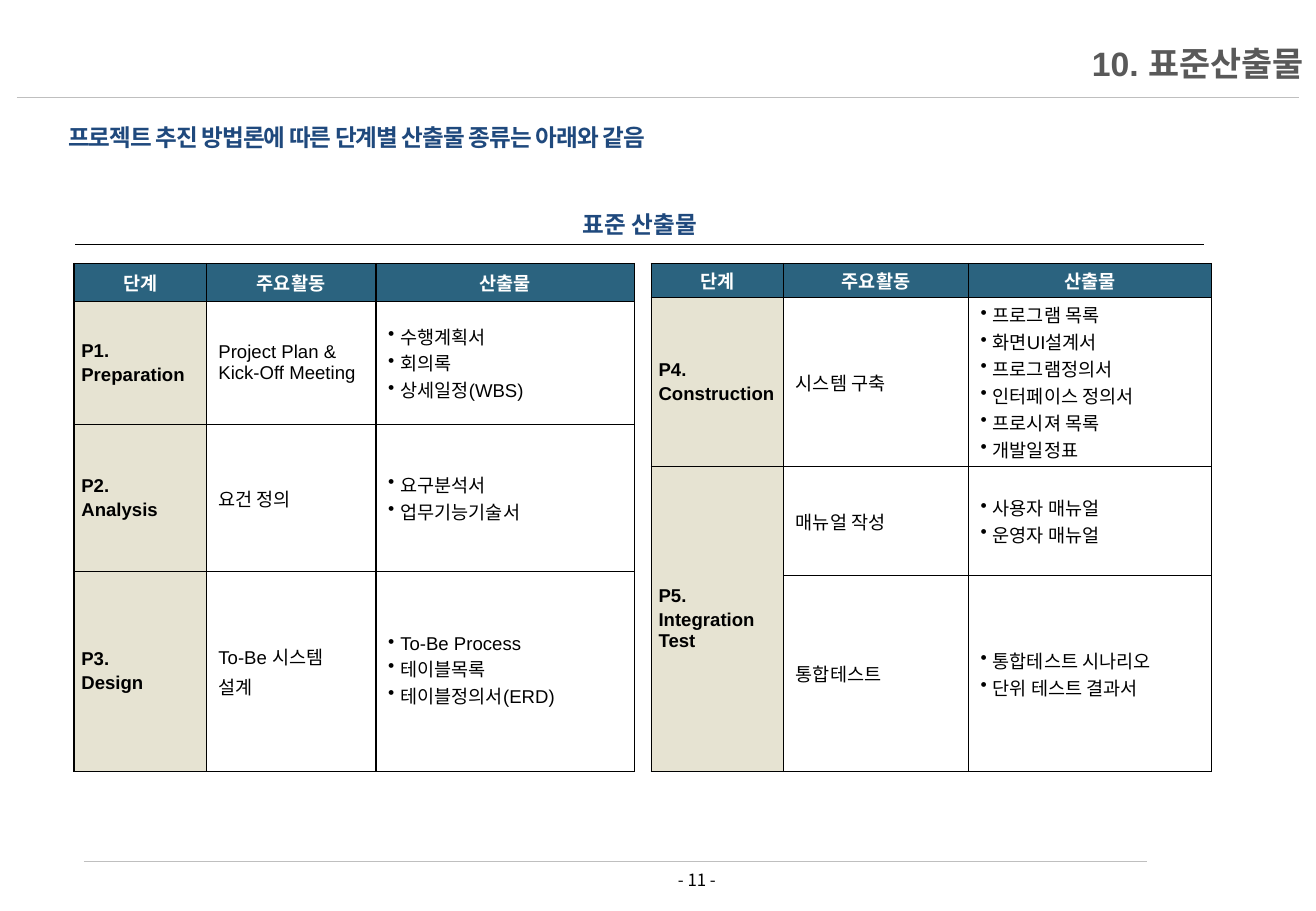
from collections import namedtuple
from dataclasses import dataclass

import pptx
import pptx.dml.color
import pptx.enum.dml
import pptx.enum.shapes
import pptx.enum.text
import pptx.oxml.ns
import pptx.util
from lxml import etree

Inches, Pt = pptx.util.Inches, pptx.util.Pt
Align, Anchor = pptx.enum.text.PP_ALIGN, pptx.enum.text.MSO_ANCHOR
qn = pptx.oxml.ns.qn
Box = namedtuple("Box", "left top width height")


@dataclass(frozen=True)
class Theme:
    """Colours, fonts and type sizes of the slide."""
    latin: str = "Arial"
    korean: str = "Noto Sans CJK KR"
    title: str = "595959"
    accent: str = "1F497D"
    header: str = "2B637F"
    stage: str = "E6E3D2"
    rule: str = "BFBFBF"
    black: str = "000000"
    white: str = "FFFFFF"
    title_size: int = 20
    lead_size: int = 14
    table_size: int = 11
    page_size: int = 10


THEME = Theme()
SLIDE = Box(0, 0, 10.83, 7.5)
HEADINGS = ("단계", "주요활동", "산출물")
EARLY_STAGES = [
    (["P1.", "Preparation"], ["Project Plan & Kick-Off Meeting"],
     ["수행계획서", "회의록", "상세일정(WBS)"]),
    (["P2.", "Analysis"], ["요건 정의"], ["요구분석서", "업무기능기술서"]),
    (["P3.", "Design"], ["To-Be 시스템", "설계"],
     ["To-Be Process", "테이블목록", "테이블정의서(ERD)"]),
]
LATE_STAGES = [
    (["P4.", "Construction"], ["시스템 구축"],
     ["프로그램 목록", "화면UI설계서", "프로그램정의서", "인터페이스 정의서",
      "프로시져 목록", "개발일정표"]),
    (["P5.", "Integration Test"], ["매뉴얼 작성"], ["사용자 매뉴얼", "운영자 매뉴얼"]),
    (None, ["통합테스트"], ["통합테스트 시나리오", "단위 테스트 결과서"]),
]


def rgb(value):
    """Return a colour object for a hex value."""
    return pptx.dml.color.RGBColor.from_string(value)


def write(frame, lines, size, color, bold=False, align=Align.LEFT,
          latin=THEME.latin, gap=0, bullet=False, tracking=0):
    """Fill a text frame with formatted paragraphs."""
    frame.text = "\n".join(lines)
    frame.word_wrap = True
    for index, paragraph in enumerate(frame.paragraphs):
        paragraph.alignment = align
        if gap and index:
            paragraph.space_before = Pt(gap)
        if bullet:
            properties = paragraph._p.get_or_add_pPr()
            properties.set("marL", str(Inches(0.1)))
            properties.set("indent", str(-Inches(0.1)))
            etree.SubElement(properties, qn("a:buChar"), char="•")
        for run in paragraph.runs:
            run.font.size, run.font.bold, run.font.name = Pt(size), bold, latin
            run.font.color.rgb = rgb(color)
            properties = run._r.get_or_add_rPr()
            etree.SubElement(properties, qn("a:ea"), typeface=THEME.korean)
            if tracking:
                properties.set("spc", str(round(tracking * 100)))


def add_text(slide, box, lines, **style):
    """Place a text box and return its frame."""
    frame = slide.shapes.add_textbox(*map(Inches, box)).text_frame
    write(frame, lines, **style)
    return frame


def add_rule(slide, left, right, y, color, weight, dotted=False):
    """Draw a horizontal rule."""
    rule = slide.shapes.add_connector(
        pptx.enum.shapes.MSO_CONNECTOR.STRAIGHT, *map(Inches, (left, y, right, y)))
    rule.line.color.rgb = rgb(color)
    rule.line.width = Pt(weight)
    if dotted:
        rule.line.dash_style = pptx.enum.dml.MSO_LINE.ROUND_DOT
    etree.SubElement(rule._element.spPr, qn("a:effectLst"))


def add_header(slide, box):
    """Place the slide title above its rule."""
    add_rule(slide, 0.14, box.width - 0.14, box.top + box.height, THEME.rule, 0.25, True)
    title = slide.shapes.title
    title.left, title.top, title.width, title.height = map(
        Inches, (box.width * 0.1, 0.29, box.width * 0.9, 0.45))
    frame = title.text_frame
    write(frame, ["10. 표준산출물"], THEME.title_size, THEME.title, True, Align.RIGHT)
    frame.auto_size = pptx.enum.text.MSO_AUTO_SIZE.NONE
    frame.vertical_anchor = Anchor.MIDDLE


def add_lead(slide, box):
    """Place the lead sentence."""
    frame = add_text(slide, box, ["프로젝트 추진 방법론에 따른 단계별 산출물 종류는 아래와 같음"],
                     size=THEME.lead_size, color=THEME.accent, bold=True, tracking=-0.6)
    frame.margin_left = frame.margin_right = frame.margin_top = frame.margin_bottom = 0


def add_section_heading(slide, box):
    """Place the underlined heading of the tables."""
    frame = add_text(slide, box, ["표준 산출물"], size=THEME.lead_size, color=THEME.accent,
                     bold=True, align=Align.CENTER, latin=THEME.korean)
    frame.vertical_anchor = Anchor.BOTTOM
    frame.paragraphs[0].line_spacing = 1.1
    add_rule(slide, box.left, box.left + box.width, box.top + box.height, THEME.black, 0.75)


def format_cell(cell, lines, fill, inset=0.1, **style):
    """Write, border and fill one table cell."""
    write(cell.text_frame, lines, THEME.table_size, **style)
    cell.vertical_anchor = Anchor.MIDDLE
    cell.margin_left = cell.margin_right = Inches(inset)
    cell.margin_top = cell.margin_bottom = Inches(0.02)
    for side in ("lnL", "lnR", "lnT", "lnB"):
        edge = etree.SubElement(cell._tc.get_or_add_tcPr(), qn(f"a:{side}"), w=str(Pt(1)))
        paint = etree.SubElement(edge, qn("a:solidFill"))
        etree.SubElement(paint, qn("a:srgbClr"), val=THEME.black)
    cell.fill.solid()
    cell.fill.fore_color.rgb = rgb(fill)


def add_stage_table(slide, box, stages, column_shares, row_shares):
    """Place a table of stages, activities and deliverables."""
    table = slide.shapes.add_table(
        len(stages) + 1, len(HEADINGS), *map(Inches, box)).table
    table.horz_banding = False
    for column, share in zip(table.columns, column_shares):
        column.width = Inches(box.width * share / sum(column_shares))
    for row, share in zip(table.rows, row_shares):
        row.height = Inches(box.height * share / sum(row_shares))
    for column, heading in enumerate(HEADINGS):
        format_cell(table.cell(0, column), [heading], THEME.header,
                    color=THEME.white, bold=True, align=Align.CENTER)
    for row, (stage, activity, deliverables) in enumerate(stages, 1):
        format_cell(table.cell(row, 0), stage or [], THEME.stage, inset=0.06,
                    color=THEME.black, bold=True, gap=2)
        format_cell(table.cell(row, 1), activity, THEME.white, color=THEME.black, gap=2)
        format_cell(table.cell(row, 2), deliverables, THEME.white,
                    color=THEME.black, bullet=True)
        if stage is None:
            table.cell(row - 1, 0).merge(table.cell(row, 0))


def add_footer(slide, box):
    """Place the page number under its rule."""
    add_rule(slide, box.left, box.left + box.width, box.top, THEME.rule, 0.25, True)
    add_text(slide, Box(4.71, box.top + 0.02, 2.05, box.height), ["- 11 -"],
             size=THEME.page_size, color=THEME.black, align=Align.CENTER, latin=THEME.korean)


def main():
    """Build and save the deliverables slide."""
    deck = pptx.Presentation()
    deck.slide_width, deck.slide_height = Inches(SLIDE.width), Inches(SLIDE.height)
    slide = deck.slides.add_slide(deck.slide_layouts.get_by_name("Title Only"))
    add_header(slide, Box(0, 0, SLIDE.width, 0.8))
    add_lead(slide, Box(0.56, 1.01, 8.85, 0.85))
    add_section_heading(slide, Box(0.62, 1.65, 9.29, 0.36))
    early = Box(0.61, 2.17, 4.61, 4.18)
    add_stage_table(slide, early, EARLY_STAGES, (1.09, 1.4, 2.13), (0.31, 1.01, 1.21, 1.64))
    late = early._replace(left=early.left + early.width + 0.14)
    add_stage_table(slide, late, LATE_STAGES, (1.09, 1.52, 2), (0.28, 1.39, 0.9, 1.61))
    add_footer(slide, Box(0.69, 7.09, 8.74, 0.27))
    deck.save("out.pptx")


if __name__ == "__main__":
    main()
